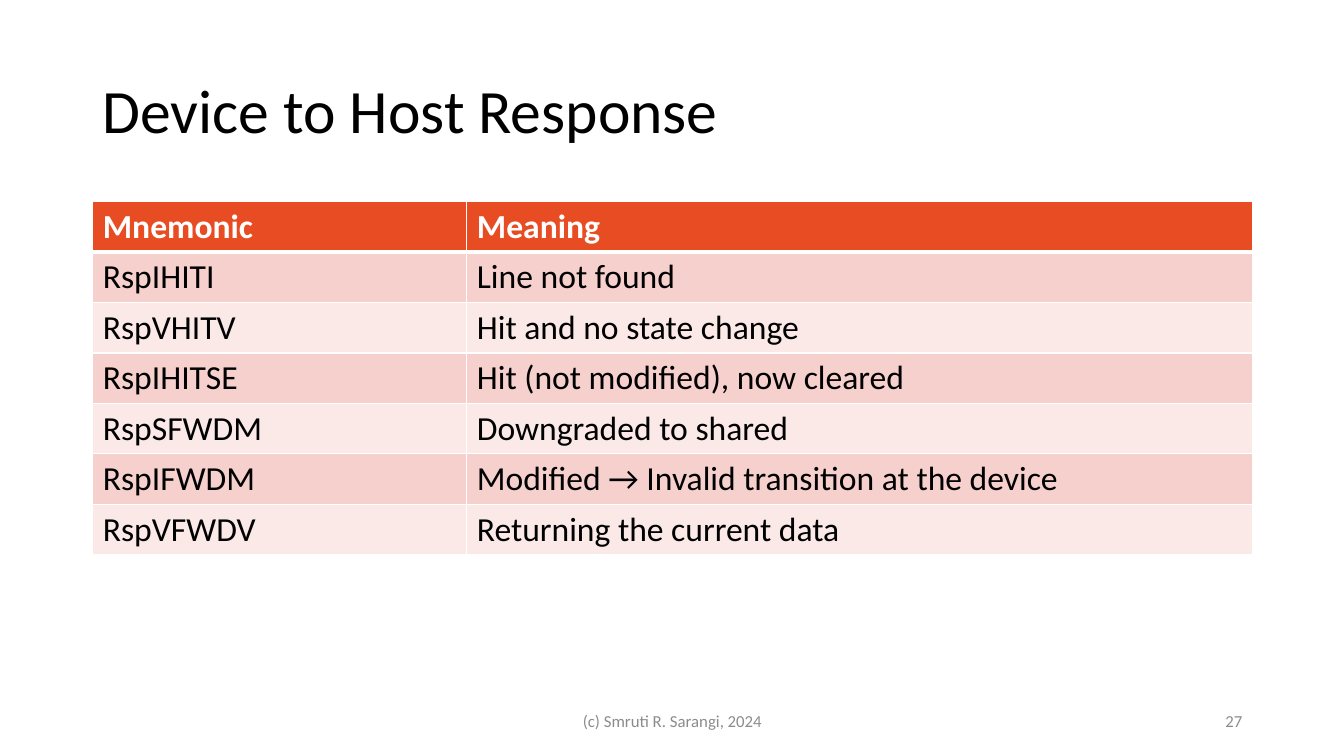
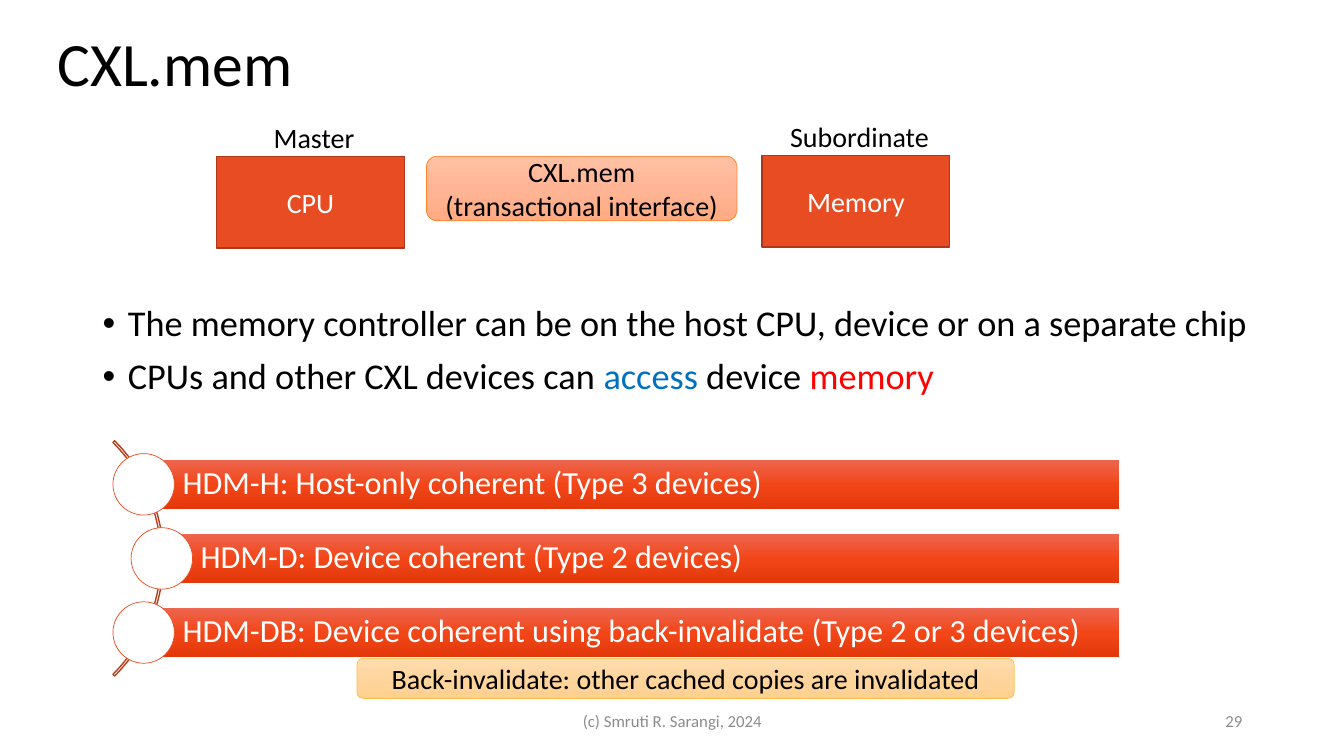
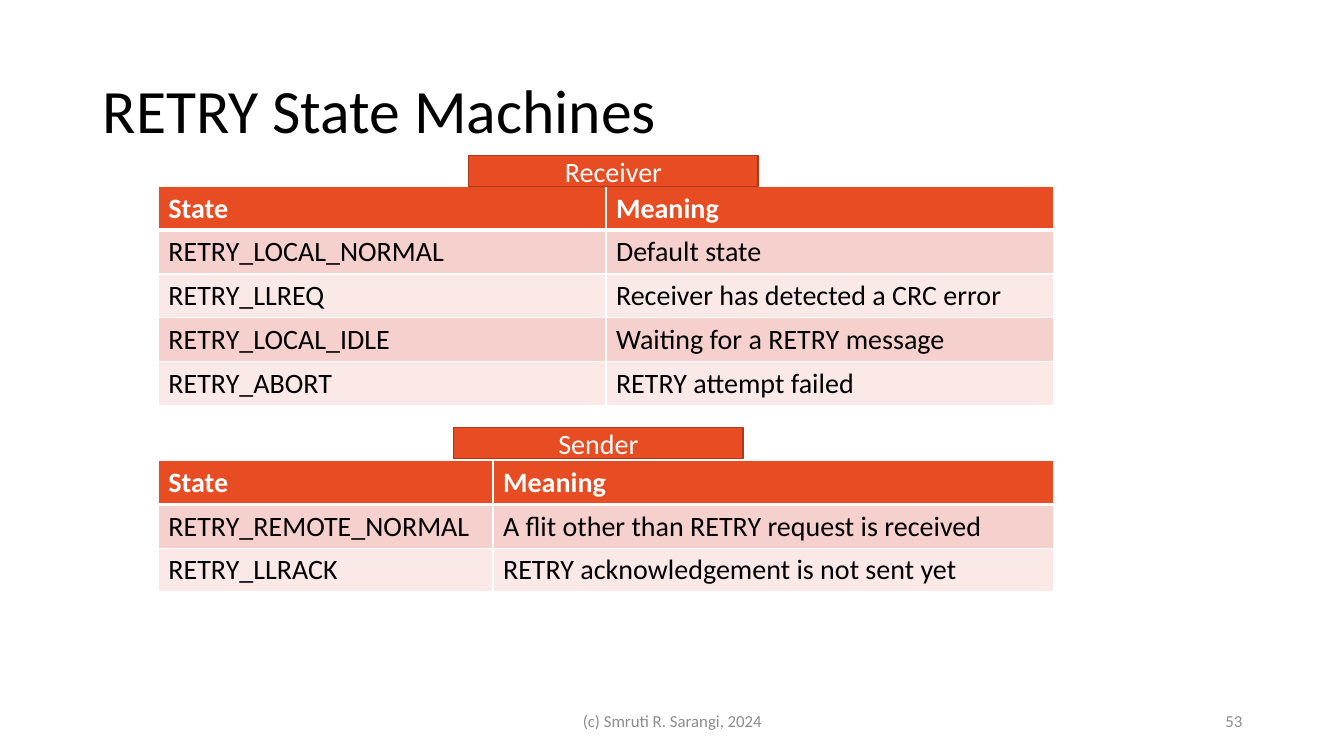
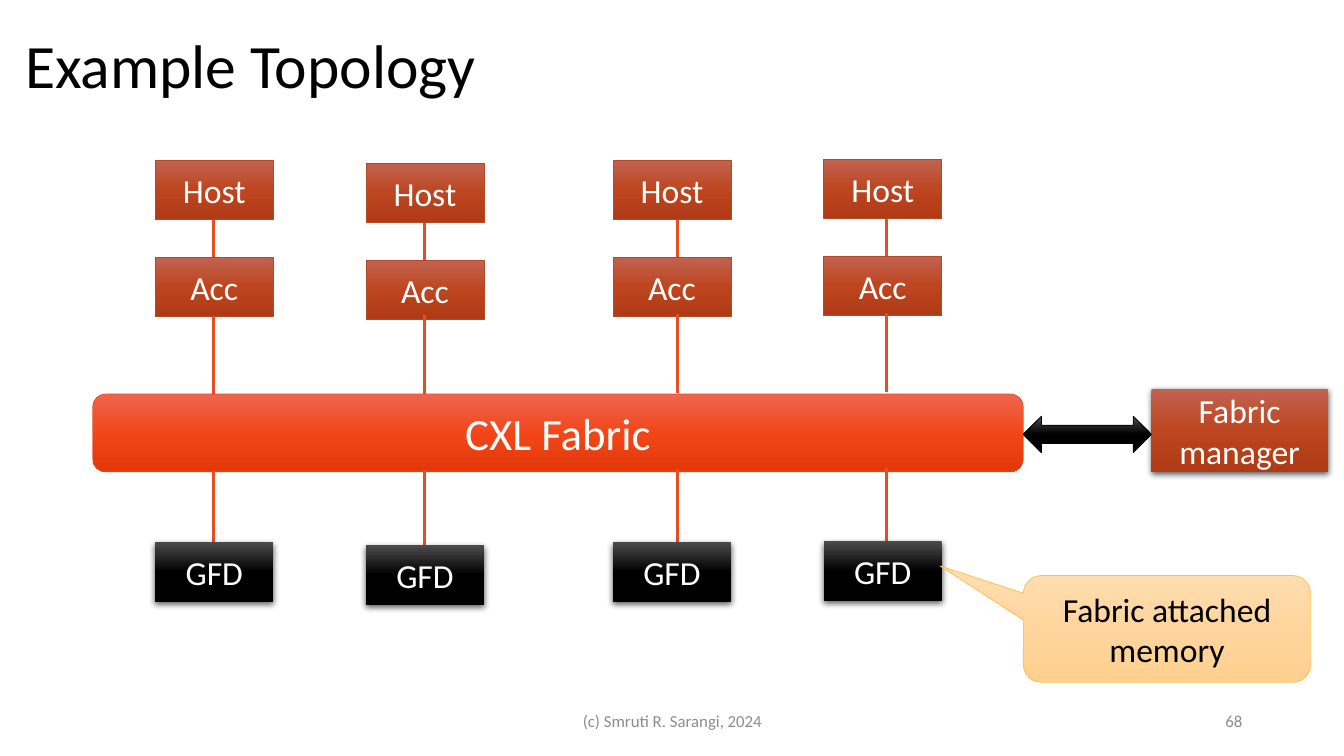
from copy import deepcopy

from lxml import etree
from pptx import Presentation
from pptx.dml.color import RGBColor
from pptx.enum.shapes import MSO_CONNECTOR, MSO_SHAPE
from pptx.enum.text import MSO_ANCHOR, PP_ALIGN
from pptx.oxml.ns import qn
from pptx.util import Inches, Pt

FONT = "Calibri"
BLACK = RGBColor(0x00, 0x00, 0x00)
WHITE = RGBColor(0xFF, 0xFF, 0xFF)
GREY = RGBColor(0x8C, 0x8C, 0x8C)
BLUE = RGBColor(0x00, 0x70, 0xC0)
RED = RGBColor(0xFF, 0x00, 0x00)
ORANGE = RGBColor(0xE8, 0x4C, 0x22)
DARK_ORANGE = RGBColor(0xAC, 0x38, 0x19)
ARC_LINE = RGBColor(0xBA, 0x3D, 0x1B)
RUST = RGBColor(0xB6, 0x49, 0x26)
PEACH = RGBColor(0xFF, 0x84, 0x27)
AMBER = RGBColor(0xFF, 0xBD, 0x47)
BAND_DARK = RGBColor(0xF6, 0xD0, 0xCD)
BAND_LIGHT = RGBColor(0xFB, 0xE9, 0xE8)


def ramp(*codes):
    return [RGBColor.from_string(code) for code in codes]


ORANGE_RAMP = ramp("ED6650", "F24618", "E2380A")
RUST_RAMP = ramp("C16351", "BD451F", "AF3A15")
BLACK_RAMP = ramp("4B4B4B", "000000", "000000")
PEACH_RAMP = ramp("FFC1A4", "FFB595", "FFAA82")
AMBER_RAMP = ramp("FFDDAE", "FFD59E", "FFD08E")

RECT = MSO_SHAPE.RECTANGLE
ROUND_RECT = MSO_SHAPE.ROUNDED_RECTANGLE
PROCESS = MSO_SHAPE.FLOWCHART_PROCESS
OVAL = MSO_SHAPE.OVAL
BLOCK_ARC = MSO_SHAPE.BLOCK_ARC
DOUBLE_ARROW = MSO_SHAPE.LEFT_RIGHT_ARROW
CALLOUT = MSO_SHAPE.ROUNDED_RECTANGULAR_CALLOUT
STRAIGHT = MSO_CONNECTOR.STRAIGHT
MIDDLE = MSO_ANCHOR.MIDDLE
TOP = MSO_ANCHOR.TOP
LEFT = PP_ALIGN.LEFT
CENTER = PP_ALIGN.CENTER
RIGHT = PP_ALIGN.RIGHT


def inches(box):
    return [Inches(value) for value in box]


def style_font(font, size, color, bold=False):
    font.name = FONT
    font.size = Pt(size)
    font.color.rgb = color
    font.bold = bold


def write(frame, text, size, color, align=LEFT, anchor=MIDDLE, spacing=None):
    frame.word_wrap = True
    frame.vertical_anchor = anchor
    for index, line in enumerate(text.split("\n")):
        para = frame.add_paragraph() if index else frame.paragraphs[0]
        para.text = line
        para.alignment = align
        if spacing:
            para.line_spacing = spacing
        style_font(para.font, size, color)


def add_text(page, box, text, size, color=BLACK, align=LEFT, **options):
    frame = page.shapes.add_textbox(*inches(box)).text_frame
    write(frame, text, size, color, align, **options)
    return frame


def fill_ramp(shape, colors):
    shape.fill.gradient()
    shape.fill.gradient_angle = 270
    stops = shape._element.spPr.find(".//" + qn("a:gsLst"))
    stops.insert(1, deepcopy(stops[0]))
    for stop, color, position in zip(shape.fill.gradient_stops, colors, (0, 0.5, 1)):
        stop.color.rgb = color
        stop.position = position


def add_shadow(shape):
    effects = shape._element.spPr.find(qn("a:effectLst"))
    shadow = etree.SubElement(
        effects, qn("a:outerShdw"), blurRad=str(Pt(4.5)), dist=str(Pt(1.5)),
        dir="5400000", algn="ctr", rotWithShape="0")
    color = etree.SubElement(shadow, qn("a:srgbClr"), val=str(BLACK))
    etree.SubElement(color, qn("a:alpha"), val="63000")


def add_block(page, kind, box, fill=None, line=None, width=0.5, text="",
              size=20, color=WHITE, align=CENTER, shadow=False):
    shape = page.shapes.add_shape(kind, *inches(box))
    shape.shadow.inherit = False
    if fill is None:
        shape.fill.background()
    elif isinstance(fill, list):
        fill_ramp(shape, fill)
    else:
        shape.fill.solid()
        shape.fill.fore_color.rgb = fill
    if line is None:
        shape.line.fill.background()
    else:
        shape.line.color.rgb = line
        shape.line.width = Pt(width)
    if shadow:
        add_shadow(shape)
    if text:
        write(shape.text_frame, text, size, color, align)
    return shape


def add_solid_block(page, box, text):
    add_block(page, RECT, box, ORANGE, DARK_ORANGE, 1, text)


def add_link(page, x, top, height=0.78):
    link = page.shapes.add_connector(STRAIGHT, *inches((x, top, x, top + height)))
    link.line.color.rgb = ORANGE
    link.line.width = Pt(2.25)
    etree.SubElement(link._element.spPr, qn("a:effectLst"))


def set_borders(cell, row):
    widths = {"L": 1, "R": 1, "T": 3 if row == 1 else 1, "B": 1 if row else 3}
    for index, (side, width) in enumerate(widths.items()):
        border = etree.Element(qn("a:ln" + side), w=str(Pt(width)))
        solid = etree.SubElement(border, qn("a:solidFill"))
        etree.SubElement(solid, qn("a:srgbClr"), val=str(WHITE))
        cell._tc.get_or_add_tcPr().insert(index, border)


def add_table(page, left, top, columns, row_height, size, rows):
    box = (left, top, sum(columns), row_height * len(rows))
    table = page.shapes.add_table(len(rows), len(columns), *inches(box)).table
    for column, width in zip(table.columns, columns):
        column.width = Inches(width)
    for r, texts in enumerate(rows):
        fill = (BAND_DARK if r % 2 else BAND_LIGHT) if r else ORANGE
        for c, text in enumerate(texts):
            cell = table.cell(r, c)
            cell.fill.solid()
            cell.fill.fore_color.rgb = fill
            set_borders(cell, r)
            para = cell.text_frame.paragraphs[0]
            para.text = text
            style_font(para.font, size, BLACK if r else WHITE, bold=r == 0)


def add_page(deck, title, number, title_box=(0.92, 0.4, 11.5, 1.45)):
    page = deck.slides.add_slide(deck.slide_layouts[6])
    add_text(page, title_box, title, 44, spacing=0.9)
    add_text(page, (4.42, 6.95, 4.5, 0.4), "(c) Smruti R. Sarangi, 2024", 12, GREY, CENTER)
    add_text(page, (9.42, 6.95, 3, 0.4), str(number), 12, GREY, RIGHT)
    return page


def add_bullets(page, box, bullets):
    frame = page.shapes.add_textbox(*inches(box)).text_frame
    frame.word_wrap = True
    for index, runs in enumerate(bullets):
        para = frame.add_paragraph() if index else frame.paragraphs[0]
        para.line_spacing = 0.9
        if index:
            para.space_before = Pt(10)
        properties = para._p.get_or_add_pPr()
        properties.set("marL", str(Inches(0.25)))
        properties.set("indent", str(-Inches(0.25)))
        etree.SubElement(properties, qn("a:buFont"), typeface="Arial")
        etree.SubElement(properties, qn("a:buChar"), char="•")
        style_font(para.font, 25.9, BLACK)
        for text, color in runs:
            span = para.add_run()
            span.text = text
            if color != BLACK:
                span.font.color.rgb = color


def add_interface(page, left, top):
    add_block(page, ROUND_RECT, (left + 2.08, top, 3.08, 0.64), PEACH_RAMP, PEACH,
              text="CXL.mem\n(transactional interface)", color=BLACK)
    ends = ((0, 0, "CPU", "Master"), (5.41, -0.01, "Memory", "Subordinate"))
    for dx, dy, name, role in ends:
        add_solid_block(page, (left + dx, top + dy, 1.86, 0.91), name)
        add_text(page, (left + dx, top + dy - 0.4, 1.93, 0.44), role, 20,
                 align=CENTER, anchor=TOP)


def add_arc_list(page, left, top, right, items):
    arc = add_block(page, BLOCK_ARC, (left - 2.8, top - 0.61, 3.3, 3.3),
                    line=ARC_LINE, width=1)
    for index, value in enumerate((189, 27, 0.007)):
        arc.adjustments[index] = value
    height, circle = 0.49, 0.61
    for index, text in enumerate(items):
        bar_left = left + 0.3 + 0.18 * (index % 2)
        bar_top = top + 0.06 + 0.735 * index
        bar = add_block(page, RECT, (bar_left, bar_top, right - bar_left, height),
                        ORANGE_RAMP, text=text, size=23, align=LEFT)
        bar.text_frame.margin_left = Inches(0.39)
        bar.text_frame.margin_right = Inches(0.06)
        bar.text_frame.paragraphs[0].line_spacing = 0.9
        add_block(page, OVAL, (bar_left - 0.3, bar_top + (height - circle) / 2, circle, circle),
                  WHITE, ORANGE)


def add_fabric(page, left, top):
    add_block(page, ROUND_RECT, (left, top, 9.23, 0.77), ORANGE_RAMP, ORANGE,
              text="CXL Fabric", size=32)
    add_block(page, PROCESS, (left + 10.5, top - 0.05, 1.75, 0.82), RUST_RAMP,
              text="Fabric manager", size=24, shadow=True)
    add_block(page, DOUBLE_ARROW, (left + 9.23, top + 0.22, 1.27, 0.36), BLACK_RAMP, BLACK)


def add_device_column(page, left, top, link_x, link_top):
    size = (1.17, 0.59)
    add_link(page, link_x, link_top)
    for name, dy in (("Host", 0), ("Acc", 0.96)):
        add_block(page, PROCESS, (left, top + dy, *size), RUST_RAMP, RUST, text=name, size=24)
    for dy in (0.96, 2.49):
        add_link(page, link_x, link_top + dy)
    add_block(page, PROCESS, (left, top + 3.79, *size), BLACK_RAMP,
              text="GFD", size=24, shadow=True)


def build_response(deck):
    page = add_page(deck, "Device to Host Response", 27)
    add_table(page, 0.92, 2, (3.71, 7.79), 0.5, 24, (
        ("Mnemonic", "Meaning"),
        ("RspIHITI", "Line not found"),
        ("RspVHITV", "Hit and no state change"),
        ("RspIHITSE", "Hit (not modified), now cleared"),
        ("RspSFWDM", "Downgraded to shared"),
        ("RspIFWDM", "Modified → Invalid transition at the device"),
        ("RspVFWDV", "Returning the current data"),
    ))


def build_memory(deck):
    page = add_page(deck, "CXL.mem", 29, (0.47, 0.21, 11.5, 0.91))
    add_bullets(page, (0.92, 2.98, 11.96, 1.27), (
        (("The memory controller can be on the host CPU, device or on a separate chip", BLACK),),
        (("CPUs and other CXL devices can ", BLACK), ("access", BLUE),
         (" device ", BLACK), ("memory", RED)),
    ))
    add_interface(page, 2.15, 1.55)
    add_arc_list(page, 1.12, 4.5, 11.1, (
        "HDM-H: Host-only coherent (Type 3 devices)",
        "HDM-D: Device coherent (Type 2 devices)",
        "HDM-DB: Device coherent using back-invalidate (Type 2 or 3 devices)",
    ))
    add_block(page, ROUND_RECT, (3.54, 6.53, 6.52, 0.4), AMBER_RAMP, AMBER,
              text="Back-invalidate: other cached copies are invalidated", color=BLACK)


def build_retry(deck):
    page = add_page(deck, "RETRY State Machines", 53)
    add_table(page, 1.57, 1.85, (4.44, 4.44), 0.43, 20, (
        ("State", "Meaning"),
        ("RETRY_LOCAL_NORMAL", "Default state"),
        ("RETRY_LLREQ", "Receiver has detected a CRC error"),
        ("RETRY_LOCAL_IDLE", "Waiting for a RETRY message"),
        ("RETRY_ABORT", "RETRY attempt failed"),
    ))
    add_table(page, 1.57, 4.57, (3.32, 5.56), 0.43, 20, (
        ("State", "Meaning"),
        ("RETRY_REMOTE_NORMAL", "A flit other than RETRY request is received"),
        ("RETRY_LLRACK", "RETRY acknowledgement is not sent yet"),
    ))
    for left, top, name in ((4.65, 1.54, "Receiver"), (4.5, 4.24, "Sender")):
        add_solid_block(page, (left, top, 2.87, 0.31), name)


def build_topology(deck):
    page = add_page(deck, "Example Topology", 68, (0.15, -0.05, 11.5, 1.45))
    add_fabric(page, 0.92, 3.91)
    columns = ((1.54, 1.59, 2.12, 2.18), (3.63, 1.62, 4.21, 2.17),
               (6.08, 1.59, 6.72, 2.16), (8.17, 1.58, 8.79, 2.15))
    for column in columns:
        add_device_column(page, *column)
    callout = add_block(page, CALLOUT, (10.15, 5.71, 2.85, 1.06), AMBER_RAMP, AMBER,
                        text="Fabric attached memory", size=24, color=BLACK)
    for index, value in enumerate((-0.79, -0.59, 0.17)):
        callout.adjustments[index] = value


def main():
    deck = Presentation()
    deck.slide_width = Inches(13.33)
    deck.slide_height = Inches(7.5)
    for build in (build_response, build_memory, build_retry, build_topology):
        build(deck)
    deck.save("out.pptx")


if __name__ == "__main__":
    main()
